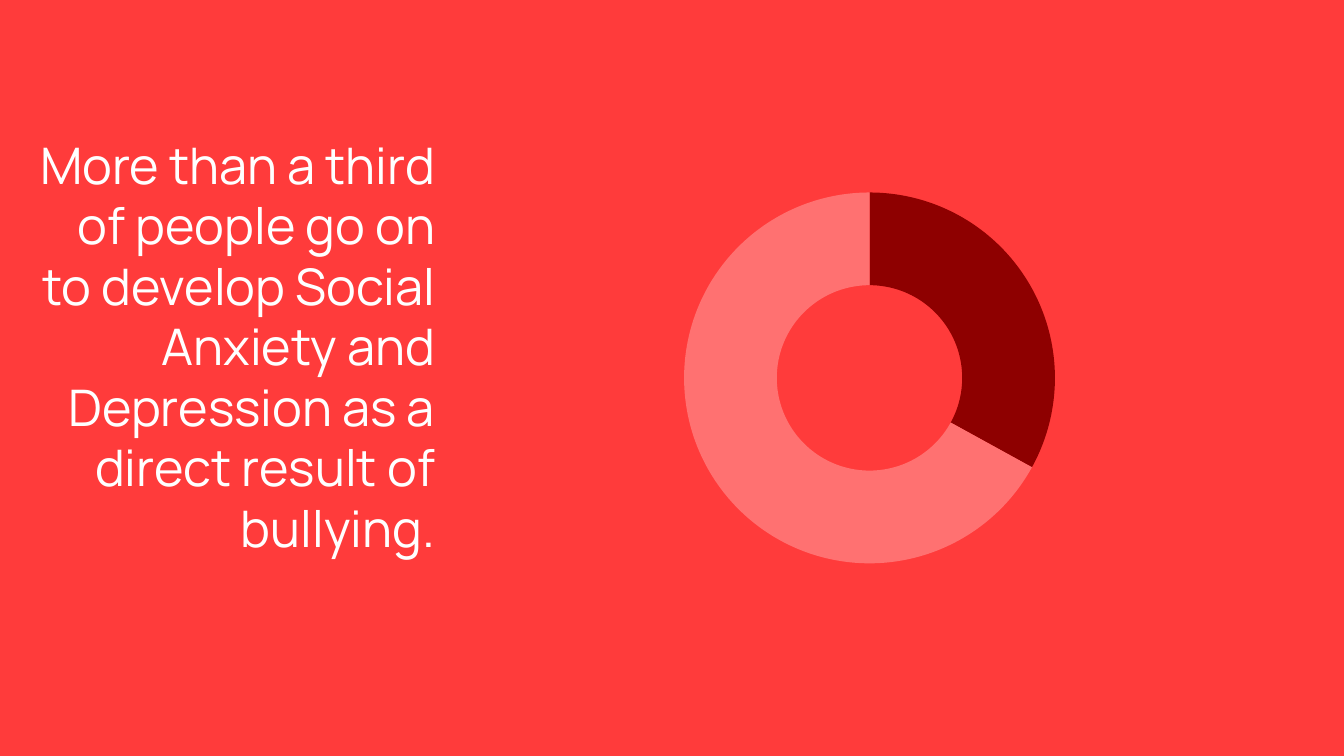
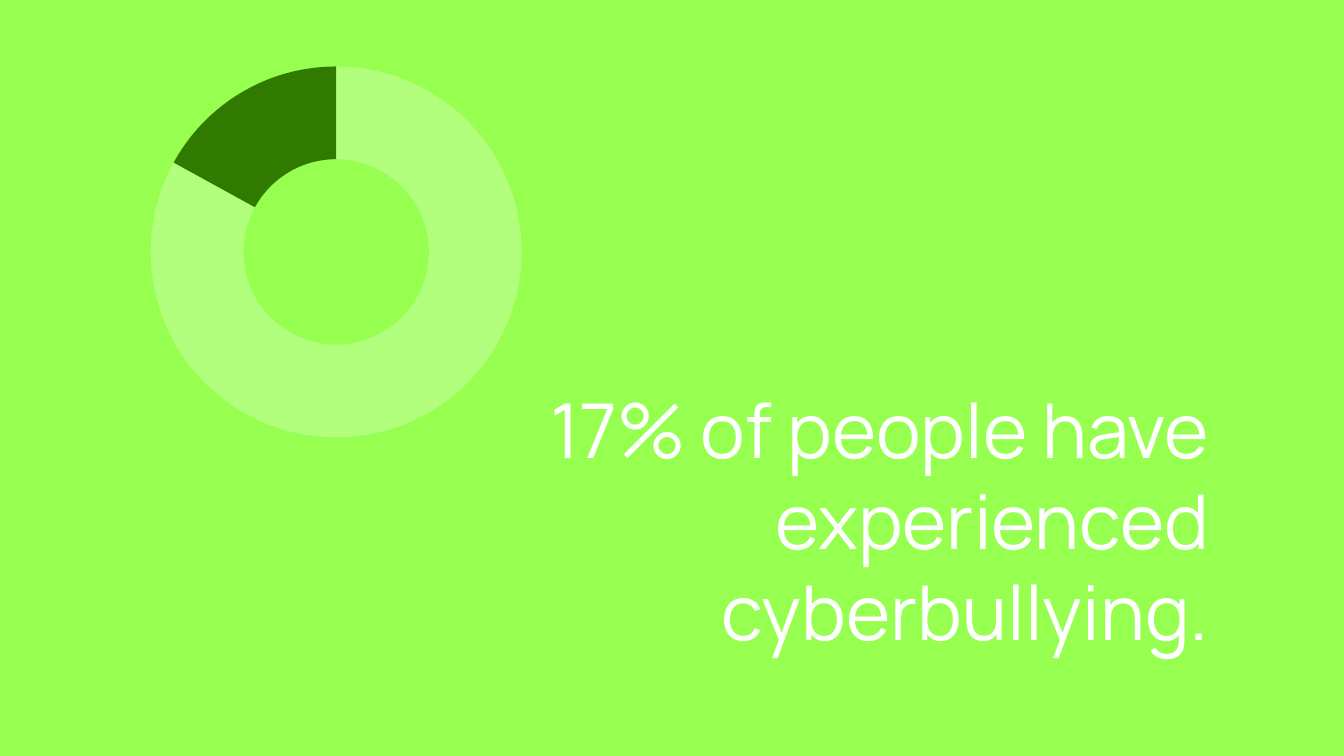
from lxml import etree
from pptx import Presentation
from pptx.chart.data import CategoryChartData
from pptx.dml.color import RGBColor
from pptx.enum import chart as charts, text
from pptx.oxml import ns
from pptx.util import Pt

COLORS = {
    "white": "FFFFFF", "black": "000000",
    "red": "FF3B3B", "dark red": "8E0000", "light red": "FF7171",
    "green": "96FF4F", "dark green": "317A00", "light green": "B2FF7D",
}
TITLE_FONT, CHART_FONT = "Manrope", "Calibri"
CHART_SIZE = 288
HOLE_PERCENT = 75
PLOT_AREA = {"x": 0.03, "y": 0.04, "w": 0.92, "h": 0.92}

# Content: boxes are left, top, width, height in points
SLIDES = [
    {
        "background": "red",
        "title": "More than a third of people go on to develop Social Anxiety "
                 "and Depression as a direct result of bullying.",
        "title_box": (13, 92, 305, 356), "title_size": 36,
        "chart_at": (480, 126),
        "shares": [("1", 33, "dark red"), ("2", 67, "light red")],
    },
    {
        "background": "green",
        "title": "17% of people have experienced cyberbullying.",
        "title_box": (338, 270, 533, 204), "title_size": 54,
        "chart_at": (99, 36),
        "shares": [("1", 83, "light green"), ("2", 17, "dark green")],
    },
]


def color(name):
    return RGBColor.from_string(COLORS[name])


def set_title(slide, wording, box, size):
    title = slide.shapes.title
    title.left, title.top, title.width, title.height = map(Pt, box)
    frame = title.text_frame
    frame.word_wrap = True
    frame.auto_size = text.MSO_AUTO_SIZE.NONE
    frame.vertical_anchor = text.MSO_ANCHOR.TOP
    paragraph = frame.paragraphs[0]
    paragraph.alignment = text.PP_ALIGN.RIGHT
    run = paragraph.add_run()
    run.text = wording
    run.font.name, run.font.size = TITLE_FONT, Pt(size)
    run.font.color.rgb = color("white")


def set_plot_layout(chart):
    """Fix the inner plot area and the hole, which have no public setting."""
    plot_area = chart.plots[0]._element.getparent()
    for old in plot_area.findall(ns.qn("c:layout")):
        plot_area.remove(old)
    layout = etree.Element(ns.qn("c:layout"))
    manual = etree.SubElement(layout, ns.qn("c:manualLayout"))
    settings = [("layoutTarget", "inner"), ("xMode", "edge"), ("yMode", "edge")]
    for tag, value in settings + list(PLOT_AREA.items()):
        etree.SubElement(manual, ns.qn("c:" + tag)).set("val", str(value))
    plot_area.insert(0, layout)
    hole = plot_area.find(".//" + ns.qn("c:holeSize"))
    hole.set("val", str(HOLE_PERCENT))


def add_doughnut(slide, position, shares):
    data = CategoryChartData()
    data.categories = [label for label, _, _ in shares]
    data.add_series("Series 1", [value for _, value, _ in shares])
    left, top = position
    chart = slide.shapes.add_chart(
        charts.XL_CHART_TYPE.DOUGHNUT, Pt(left), Pt(top),
        Pt(CHART_SIZE), Pt(CHART_SIZE), data).chart
    chart.has_legend = chart.has_title = False
    chart.font.name, chart.font.size = CHART_FONT, Pt(10)
    chart.font.color.rgb = color("black")
    plot = chart.plots[0]
    plot.vary_by_categories = True
    plot.has_data_labels = False
    for index, (_, _, fill) in enumerate(shares):
        point = plot.series[0].points[index].format
        point.fill.solid()
        point.fill.fore_color.rgb = color(fill)
        point.line.fill.background()
    set_plot_layout(chart)


def main():
    presentation = Presentation()
    presentation.slide_width, presentation.slide_height = Pt(960), Pt(540)
    title_only = presentation.slide_layouts[5]
    for content in SLIDES:
        slide = presentation.slides.add_slide(title_only)
        slide.background.fill.solid()
        slide.background.fill.fore_color.rgb = color(content["background"])
        set_title(slide, content["title"], content["title_box"], content["title_size"])
        add_doughnut(slide, content["chart_at"], content["shares"])
    presentation.save("out.pptx")


if __name__ == "__main__":
    main()
